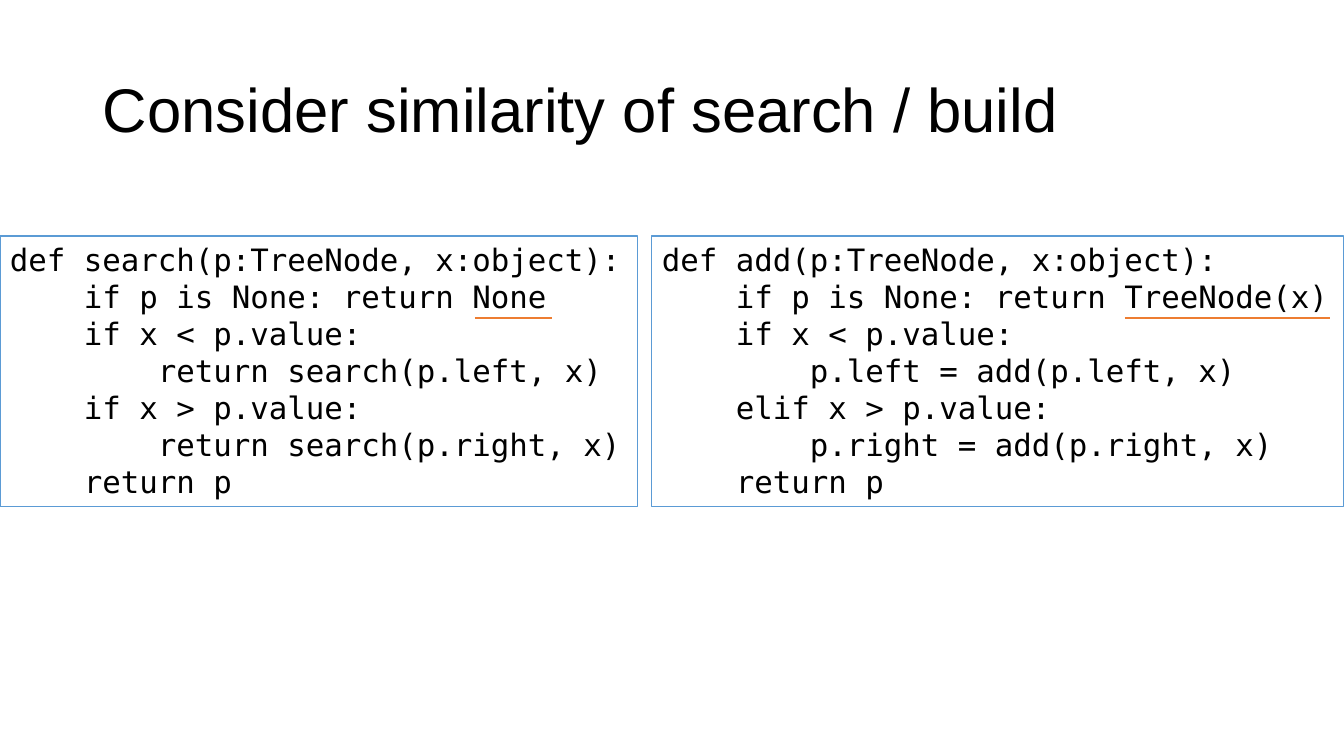
from lxml import etree
from pptx import Presentation, util as u
from pptx.dml.color import RGBColor
from pptx.enum import shapes, text
from pptx.oxml.ns import qn

SCALE = 914400 / 100.8  # EMU in one px
BLACK = RGBColor(0x00, 0x00, 0x00)
BLUE = RGBColor(0x5B, 0x9B, 0xD5)
ORANGE = RGBColor(0xED, 0x7D, 0x31)

SEARCH = """\
def search(p:TreeNode, x:object):
    if p is None: return None
    if x < p.value:
        return search(p.left, x)
    if x > p.value:
        return search(p.right, x)
    return p"""

ADD = """\
def add(p:TreeNode, x:object):
    if p is None: return TreeNode(x)
    if x < p.value:
        p.left = add(p.left, x)
    elif x > p.value:
        p.right = add(p.right, x)
    return p"""


def px(*vals):
    return [u.Emu(round(v * SCALE)) for v in vals]


class Deck:
    head = {"name": "Arial", "size": u.Pt(44)}
    mono = {"name": "DejaVu Sans Mono", "size": u.Pt(22)}

    def __init__(self, wide, high):
        self.prs = Presentation()
        self.prs.slide_width, self.prs.slide_height = px(wide, high)
        self.slide = self.prs.slides.add_slide(self.prs.slide_layouts[6])

    def label(self, frame, words, font, anchor, **form):
        frame.word_wrap = True
        frame.vertical_anchor = anchor
        for i, line in enumerate(words.split("\n")):
            para = frame.add_paragraph() if i else frame.paragraphs[0]
            para.alignment = text.PP_ALIGN.LEFT
            for key, val in form.items():
                setattr(para, key, val)
            run = para.add_run()
            run.text = line
            for key, val in font.items():
                setattr(run.font, key, val)
            run.font.color.rgb = BLACK

    def title(self, words, *area):
        box = self.slide.shapes.add_textbox(*px(*area))
        self.label(box.text_frame, words, self.head,
                   text.MSO_ANCHOR.MIDDLE, line_spacing=0.9)

    def code(self, words, *area):
        box = self.slide.shapes.add_shape(
            shapes.MSO_SHAPE.RECTANGLE, *px(*area))
        box.shadow.inherit = False
        box.fill.background()
        box.line.color.rgb = BLUE
        box.line.width = u.Pt(0.75)
        self.label(box.text_frame, words, self.mono, text.MSO_ANCHOR.TOP)
        box.text_frame.auto_size = text.MSO_AUTO_SIZE.SHAPE_TO_FIT_TEXT

    def rule(self, left, right, y):
        line = self.slide.shapes.add_connector(
            shapes.MSO_CONNECTOR.STRAIGHT, *px(left, y, right, y))
        line.line.color.rgb = ORANGE
        line.line.width = u.Pt(1)
        props = line._element.spPr
        etree.SubElement(props, qn("a:effectLst"))


def main():
    deck = Deck(1344, 756)

    # Heading
    deck.title("Consider similarity of search / build", 93, 40, 1159, 146)

    # Code panels, side by side
    for words, left, wide in ((ADD, 652, 692), (SEARCH, 0, 638)):
        deck.code(words, left, 236, wide, 271)

    # Underlines below the differing return values
    for left, right in ((1125, 1330), (475, 552)):
        deck.rule(left, right, 318)

    deck.prs.save("out.pptx")


if __name__ == "__main__":
    main()
